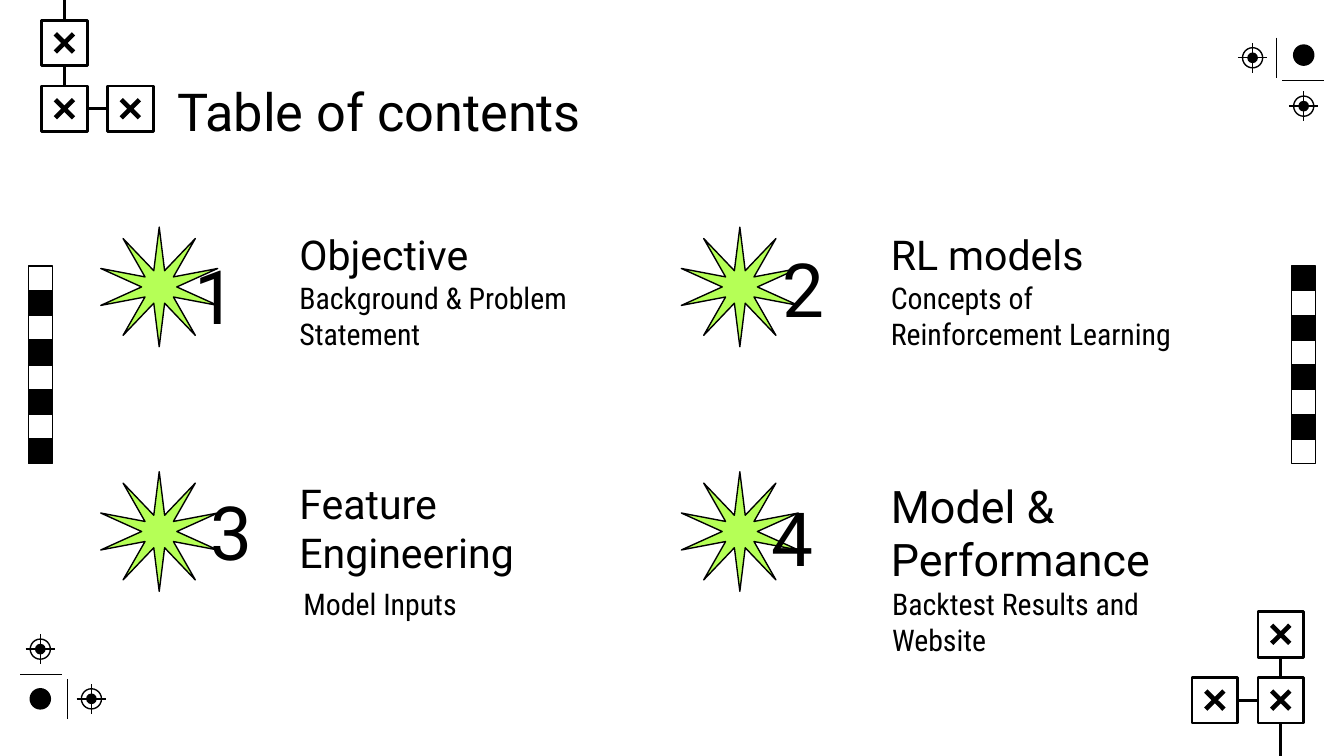
"""Build a table of contents slide with four starred sections."""
from pptx import Presentation
from pptx.dml.color import RGBColor
from pptx.enum.shapes import MSO_CONNECTOR, MSO_SHAPE
from pptx.enum.text import MSO_ANCHOR, PP_ALIGN
from pptx.oxml.ns import qn
from pptx.util import Inches, Pt

RECT, OVAL = MSO_SHAPE.RECTANGLE, MSO_SHAPE.OVAL
CROSS, STAR = MSO_SHAPE.MATH_MULTIPLY, MSO_SHAPE.STAR_10_POINT
STRAIGHT = MSO_CONNECTOR.STRAIGHT
TOP, BOTTOM = MSO_ANCHOR.TOP, MSO_ANCHOR.BOTTOM
LEFT, CENTER = PP_ALIGN.LEFT, PP_ALIGN.CENTER

WIDTH = 10
HEIGHT = WIDTH * 9 / 16
THEME = {
    "ink": RGBColor(0, 0, 0),
    "paper": RGBColor(255, 255, 255),
    "accent": RGBColor(0xB5, 0xFF, 0x56),
    "head_font": "Roboto",
    "body_font": "Roboto Condensed",
    "title": 28,
    "number": 40,
    "heading": 22,
    "heading_large": 24,
    "body": 16,
    "thin": 0.75,
    "thick": 1.5,
}

TITLE = ("Table of contents", (1.22, 0.49, 7.99, 0.63))
SECTIONS = [
    {"star": (0.75, 1.69), "number": ("1", (1.19, 1.5, 0.83, 1.12)),
     "heading": ("Objective", (2.13, 1.61, 2.44, 0.52)), "size": "heading",
     "detail": ("Background & Problem Statement", (2.13, 1.98, 2.44, 0.74))},
    {"star": (5.07, 1.69), "number": ("2", (5.41, 1.45, 1.13, 1.12)),
     "heading": ("RL models", (6.53, 1.61, 2.44, 0.52)), "size": "heading",
     "detail": ("Concepts of Reinforcement Learning", (6.53, 1.98, 2.44, 0.74))},
    {"star": (0.75, 3.51), "number": ("3", (1.31, 3.26, 0.83, 1.12)),
     "heading": ("Feature Engineering", (2.13, 3.46, 2.44, 0.8)), "size": "heading",
     "detail": ("Model Inputs", (2.16, 4.26, 2.44, 0.74))},
    {"star": (5.07, 3.51), "number": ("4", (5.38, 3.3, 1.03, 1.12)),
     "heading": ("Model & Performance", (6.53, 3.46, 2.85, 0.74)), "size": "heading_large",
     "detail": ("Backtest Results and Website", (6.54, 4.26, 2.44, 0.74))},
]

BOX, BOX_PITCH, MARK = 0.34, 0.49, 0.26
TARGETS = [(9.32, 0.43), (9.7, 0.79), (0.68, 5.2), (0.3, 4.83)]
RING, BULLSEYE, HAIR = 0.15, 0.08, 0.22
DOTS = [(9.7, 0.41), (0.3, 5.2)]
RULES = [(9.5, 0.28, 9.5, 0.58), (9.85, 0.6, 9.54, 0.6),
         (0.5, 5.35, 0.5, 5.05), (0.15, 5.02, 0.46, 5.02)]
STRIPS = [(0.21, 1), (9.61, 0)]
TILES, TILE, STRIP_TOP, STRIP_HEIGHT = 8, 0.18, 1.98, 1.47


def add_shape(s, kind, box, fill=None, line=None):
    sp = s.shapes.add_shape(kind, *map(Inches, box))
    sp.shadow.inherit = False
    if fill is None:
        sp.fill.background()
    else:
        sp.fill.solid()
        sp.fill.fore_color.rgb = fill
    if line is None:
        sp.line.fill.background()
    else:
        sp.line.color.rgb = THEME["ink"]
        sp.line.width = Pt(line)
    return sp


def add_line(s, ends=(0, 0, 0, 0), width=THEME["thin"], begin=None, end=None):
    c = s.shapes.add_connector(STRAIGHT, *map(Inches, ends))
    if begin:
        c.begin_connect(*begin)
    if end:
        c.end_connect(*end)
    c.line.color.rgb = THEME["ink"]
    c.line.width = Pt(width)
    spPr = c._element.spPr
    spPr.append(spPr.makeelement(qn("a:effectLst"), {}))


def add_text(s, text, box, size, font=THEME["head_font"], anchor=TOP,
             align=LEFT, spacing=1.0, after=0):
    tf = s.shapes.add_textbox(*map(Inches, box)).text_frame
    tf.word_wrap = True
    tf.vertical_anchor = anchor
    tf.margin_left = tf.margin_right = Inches(0.1)
    tf.margin_top = tf.margin_bottom = Inches(0.1)
    p = tf.paragraphs[0]
    p.alignment = align
    p.line_spacing = spacing
    p.space_after = Pt(after)
    r = p.add_run()
    r.text = text
    r.font.name = font
    r.font.size = Pt(size)
    r.font.color.rgb = THEME["ink"]


def centered(x, y, size):
    return x - size / 2, y - size / 2, size, size


def add_crossed_box(s, x, y):
    sp = add_shape(s, RECT, (x, y, BOX, BOX), THEME["paper"], THEME["thick"])
    mark = add_shape(s, CROSS, centered(x + BOX / 2, y + BOX / 2, MARK), THEME["ink"])
    mark.adjustments[0] = 0.132
    return sp


def add_cluster(s, x, y, direction):
    corner = add_crossed_box(s, x, y)
    above = add_crossed_box(s, x, y - BOX_PITCH)
    beside = add_crossed_box(s, x + direction * BOX_PITCH, y)
    near, far = (3, 1) if direction > 0 else (1, 3)
    thick, middle = THEME["thick"], x + BOX / 2
    add_line(s, width=thick, begin=(above, 2), end=(corner, 0))
    add_line(s, width=thick, begin=(corner, near), end=(beside, far))
    start, edge = ((above, 0), 0) if direction > 0 else ((corner, 2), HEIGHT)
    add_line(s, (middle, edge, middle, edge), thick, begin=start)


def add_target(s, x, y):
    half = HAIR / 2
    add_line(s, (x, y - half, x, y + half))
    add_line(s, (x - half, y, x + half, y))
    add_shape(s, OVAL, centered(x, y, BULLSEYE), THEME["ink"])
    add_shape(s, OVAL, centered(x, y, RING), line=THEME["thin"])


def add_strip(s, x, first_dark):
    pitch = STRIP_HEIGHT / TILES
    for i in range(TILES):
        fill = THEME["ink"] if i % 2 == first_dark else None
        add_shape(s, RECT, (x, STRIP_TOP + i * pitch, TILE, pitch), fill, THEME["thin"])


def main():
    prs = Presentation()
    prs.slide_width, prs.slide_height = Inches(WIDTH), Inches(HEIGHT)
    s = prs.slides.add_slide(prs.slide_layouts[6])
    s.background.fill.solid()
    s.background.fill.fore_color.rgb = THEME["paper"]

    add_cluster(s, 0.31, 0.64, 1)
    add_cluster(s, 9.36, 5.04, -1)
    for x, y in TARGETS:
        add_target(s, x, y)
    for ends in RULES:
        add_line(s, ends)
    for x, y in DOTS:
        add_shape(s, OVAL, centered(x, y, RING), THEME["ink"], THEME["thin"])
    for x, first_dark in STRIPS:
        add_strip(s, x, first_dark)

    for section in SECTIONS:
        star = add_shape(s, STAR, (*section["star"], 0.87, 0.89),
                         THEME["accent"], THEME["thin"])
        star.adjustments[0] = 0.143
    add_text(s, *TITLE, THEME["title"])
    for section in SECTIONS:
        add_text(s, *section["detail"], THEME["body"], THEME["body_font"], after=12)
        add_text(s, *section["heading"], THEME[section["size"]], after=12)
        add_text(s, *section["number"], THEME["number"], anchor=BOTTOM,
                 align=CENTER, spacing=0.8)
    prs.save("out.pptx")


if __name__ == "__main__":
    main()
